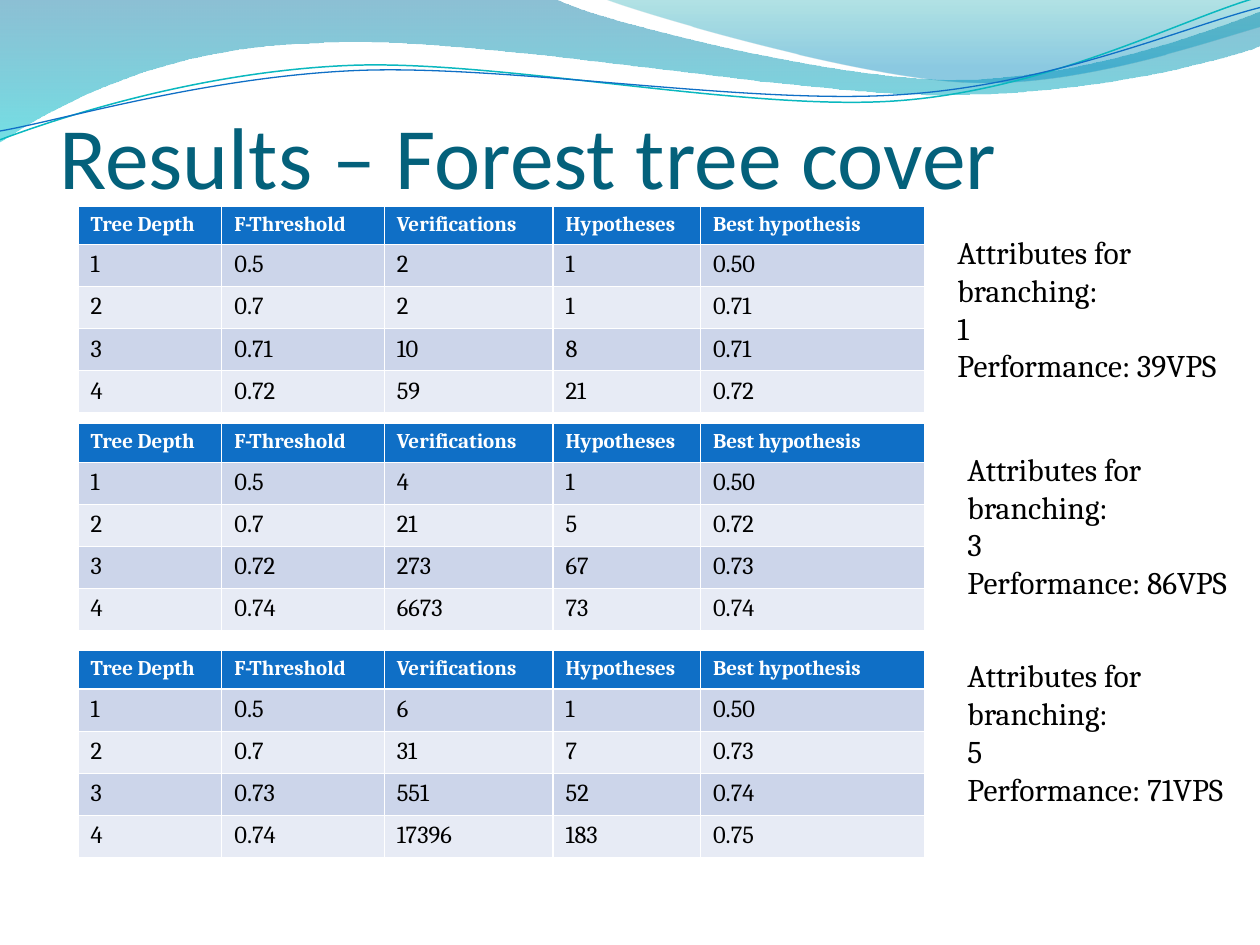
"""Build the forest tree cover results slide."""
from dataclasses import dataclass

from lxml import etree
from pptx import Presentation
from pptx import util as u
from pptx.dml import color
from pptx.enum import text as t
from pptx.oxml import ns

HEADERS = ("Tree Depth", "F-Threshold", "Verifications", "Hypotheses", "Best hypothesis")
COLUMN_WIDTHS = (1.14, 1.29, 1.34, 1.17, 1.78)
ROW_HEIGHT = 0.31
BLUE, WHITE, BLACK = "0F6FC6", "FFFFFF", "000000"
BANDS = ("E7EBF5", "CCD5EA")


@dataclass
class GradientStop:
    position: float
    color: str
    opacity: int


@dataclass
class Wave:
    start: tuple
    segments: list
    stops: tuple = ()
    line: str = ""
    width: float = 0


@dataclass
class Experiment:
    top: float
    header_height: float
    rows: list
    note_left: float
    note_top: float
    attributes: int
    speed: int


WAVES = [
    Wave((0, 0), [
        (4.4, -0.01), (4.76, 0.17, 6.64, 0.63, 7.58, 0.63),
        (8.53, 0.63, 9.58, 0.26, 10, 0.09), (10.01, 0.36),
        (9.83, 0.44, 8.7, 0.76, 7.46, 0.75), (6.22, 0.75, 3.82, 0.28, 2.57, 0.34),
        (1.29, 0.36, 0.46, 0.83, -0.01, 1.13)],
        stops=(GradientStop(0, "0074A1", 45), GradientStop(1, "00C6CF", 55))),
    Wave((4.79, -0.01), [
        (5.09, 0.11, 6.82, 0.62, 7.69, 0.65), (8.56, 0.69, 9.61, 0.32, 10, 0.21), (10, 0)],
        stops=(GradientStop(0, "00A1A9", 30), GradientStop(0.8, "008BBF", 45))),
    Wave((0, 1.11), [
        (0.48, 0.93, 1.58, 0.57, 2.77, 0.52), (3.95, 0.47, 5.93, 0.89, 7.13, 0.8),
        (8.33, 0.71, 9.38, 0.15, 9.98, -0.02)], line="0AB8BF", width=0.85),
    Wave((0, 1.04), [
        (0.47, 0.96, 1.64, 0.61, 2.83, 0.56), (4.03, 0.51, 5.97, 0.84, 7.17, 0.75),
        (8.36, 0.67, 9.41, 0.21, 10, 0.06)], line=BLUE, width=0.75),
]

EXPERIMENTS = [
    Experiment(1.64, 0.23, [
        ("1", "0.5", "2", "1", "0.50"), ("2", "0.7", "2", "1", "0.71"),
        ("3", "0.71", "10", "8", "0.71"), ("4", "0.72", "59", "21", "0.72")],
        7.5, 1.8, 1, 39),
    Experiment(3.36, ROW_HEIGHT, [
        ("1", "0.5", "4", "1", "0.50"), ("2", "0.7", "21", "5", "0.72"),
        ("3", "0.72", "273", "67", "0.73"), ("4", "0.74", "6673", "73", "0.74")],
        7.58, 3.52, 3, 86),
    Experiment(5.16, ROW_HEIGHT, [
        ("1", "0.5", "6", "1", "0.50"), ("2", "0.7", "31", "7", "0.73"),
        ("3", "0.73", "551", "52", "0.74"), ("4", "0.74", "17396", "183", "0.75")],
        7.58, 5.16, 5, 71),
]


def rgb(value: str) -> color.RGBColor:
    return color.RGBColor.from_string(value)


def write_text(frame, content: str, *, size: float, font: str = "Cambria",
               fill: str = BLACK, bold: bool = False) -> None:
    for index, line in enumerate(content.split("\n")):
        paragraph = frame.paragraphs[0] if index == 0 else frame.add_paragraph()
        run = paragraph.add_run()
        run.text = line
        run.font.size, run.font.name, run.font.bold = u.Pt(size), font, bold
        run.font.color.rgb = rgb(fill)


def add_text_box(slide, left: float, top: float, width: float, height: float):
    box = slide.shapes.add_textbox(*map(u.Inches, (left, top, width, height)))
    box.text_frame.word_wrap = True
    return box.text_frame


def bend_segments(shape, segments: list) -> None:
    """Turn the straight steps of an outline into Bezier curves where controls are given."""
    steps = list(shape.element.spPr.iter(ns.qn("a:lnTo")))
    for step, segment in zip(steps, segments):
        if len(segment) == 2:
            continue
        curve = etree.Element(ns.qn("a:cubicBezTo"))
        for x, y in zip(segment[::2], segment[1::2]):
            etree.SubElement(curve, ns.qn("a:pt"), x=str(u.Inches(x) - shape.left),
                             y=str(u.Inches(y) - shape.top))
        step.getparent().replace(step, curve)


def add_wave(slide, wave: Wave) -> None:
    ends = [(u.Inches(x), u.Inches(y)) for *_, x, y in wave.segments]
    builder = slide.shapes.build_freeform(*map(u.Inches, wave.start))
    builder.add_line_segments(ends, close=bool(wave.stops))
    shape = builder.convert_to_shape()
    bend_segments(shape, wave.segments)
    shape.shadow.inherit = False
    if wave.line:
        shape.fill.background()
        shape.line.color.rgb = rgb(wave.line)
        shape.line.width = u.Pt(wave.width)
        return
    shape.line.fill.background()
    shape.fill.gradient()
    shape.fill.gradient_angle = 270
    for stop, wanted in zip(shape.fill.gradient_stops, wave.stops):
        stop.position = wanted.position
        stop.color.rgb = rgb(wanted.color)
    for node, wanted in zip(shape.element.spPr.iter(ns.qn("a:srgbClr")), wave.stops):
        etree.SubElement(node, ns.qn("a:alpha"), val=str(wanted.opacity * 1000))


def add_results_table(slide, experiment: Experiment) -> None:
    rows = [HEADERS, *experiment.rows]
    heights = [experiment.header_height] + [ROW_HEIGHT] * len(experiment.rows)
    table = slide.shapes.add_table(
        len(rows), len(HEADERS), u.Inches(0.62), u.Inches(experiment.top),
        u.Inches(sum(COLUMN_WIDTHS)), u.Inches(sum(heights))).table
    for column, width in zip(table.columns, COLUMN_WIDTHS):
        column.width = u.Inches(width)
    for row_index, values in enumerate(rows):
        table.rows[row_index].height = u.Inches(heights[row_index])
        header = row_index == 0
        for column_index, value in enumerate(values):
            cell = table.cell(row_index, column_index)
            cell.fill.solid()
            cell.fill.fore_color.rgb = rgb(BLUE if header else BANDS[row_index % 2])
            write_text(cell.text_frame, value, size=12 if header else 14,
                       fill=WHITE if header else BLACK, bold=header)


def main() -> None:
    presentation = Presentation()
    presentation.slide_width, presentation.slide_height = u.Inches(10), u.Inches(7.5)
    slide = presentation.slides.add_slide(presentation.slide_layouts[6])
    for wave in WAVES:
        add_wave(slide, wave)
    title = add_text_box(slide, 0.47, 0.39, 9, 1.25)
    title.margin_left = title.margin_right = title.margin_bottom = 0
    title.vertical_anchor = t.MSO_ANCHOR.BOTTOM
    write_text(title, "Results – Forest tree cover", size=50, font="Calibri", fill="04617B")
    for experiment in EXPERIMENTS:
        add_results_table(slide, experiment)
    for experiment in EXPERIMENTS:
        note = add_text_box(slide, experiment.note_left, experiment.note_top, 2.27, 1.62)
        write_text(note, f"Attributes for branching: \n{experiment.attributes}\n"
                         f"Performance: {experiment.speed}VPS ", size=18)
    presentation.save("out.pptx")


main()
